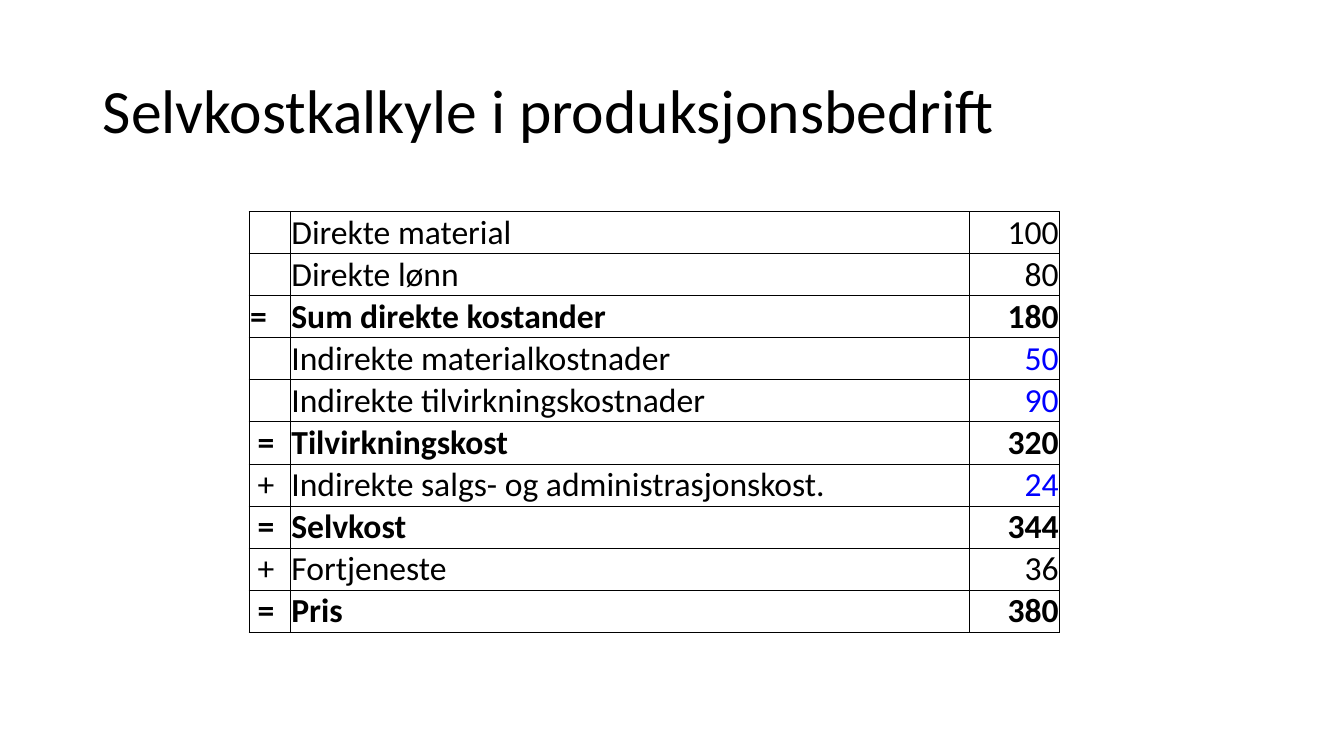
from dataclasses import dataclass

import pptx
import pptx.dml.color
import pptx.enum.text
import pptx.oxml
import pptx.oxml.ns
import pptx.util
from pptx.util import Inches

Align = pptx.enum.text.PP_ALIGN
Anchor = pptx.enum.text.MSO_ANCHOR


# Colours and type sizes
@dataclass(frozen=True)
class Theme:
    font: str = "Calibri"
    ink: str = "000000"
    indirect: str = "0000FF"
    title_size: int = 44
    table_size: int = 24
    border_width: float = 0.5


THEME = Theme()


@dataclass(frozen=True)
class CostLine:
    sign: str
    label: str
    amount: int
    color: str = THEME.ink

    @property
    def is_sum(self) -> bool:
        return "=" in self.sign


COST_LINES = [
    CostLine("", "Direkte material", 100),
    CostLine("", "Direkte lønn", 80),
    CostLine("=", "Sum direkte kostander", 180),
    CostLine("", "Indirekte materialkostnader", 50, THEME.indirect),
    CostLine("", "Indirekte tilvirkningskostnader", 90, THEME.indirect),
    CostLine(" =", "Tilvirkningskost", 320),
    CostLine(" +", "Indirekte salgs- og administrasjonskost.", 24, THEME.indirect),
    CostLine(" =", "Selvkost", 344),
    CostLine(" +", "Fortjeneste", 36),
    CostLine(" =", "Pris", 380),
]
COLUMN_WIDTHS = (0.41, 6.73, 0.9)
ROW_HEIGHT = 0.41


def write_text(tf, text: str, *, size: float, color: str = THEME.ink,
               bold: bool = False, align=Align.LEFT, spacing: float = 1.0) -> None:
    p = tf.paragraphs[0]
    p.alignment = align
    p.line_spacing = spacing
    p.font.size = pptx.util.Pt(size)
    if not text:
        return
    r = p.add_run()
    r.text = text
    r.font.name = THEME.font
    r.font.size = pptx.util.Pt(size)
    r.font.bold = bold
    r.font.color.rgb = pptx.dml.color.RGBColor.from_string(color)


def add_borders(cell) -> None:
    width = pptx.util.Pt(THEME.border_width)
    tc_pr = cell._tc.get_or_add_tcPr()
    for position, side in enumerate(("lnL", "lnR", "lnT", "lnB")):
        tc_pr.insert(position, pptx.oxml.parse_xml(
            f'<a:{side} {pptx.oxml.ns.nsdecls("a")} w="{width}"><a:solidFill>'
            f'<a:srgbClr val="{THEME.ink}"/></a:solidFill></a:{side}>'))


def format_cell(cell) -> None:
    cell.margin_left = cell.margin_right = cell.margin_top = Inches(0.01)
    cell.margin_bottom = 0
    cell.vertical_anchor = Anchor.BOTTOM
    cell.fill.background()
    add_borders(cell)


def add_title(s, text: str) -> None:
    sp = s.shapes.title
    sp.left, sp.top = Inches(0.92), Inches(0.4)
    sp.width, sp.height = Inches(11.5), Inches(1.45)
    tf = sp.text_frame
    tf.auto_size = pptx.enum.text.MSO_AUTO_SIZE.NONE
    tf.vertical_anchor = Anchor.MIDDLE
    write_text(tf, text, size=THEME.title_size, spacing=0.9)


def add_cost_table(s, lines: list[CostLine]) -> None:
    table = s.shapes.add_table(
        len(lines), len(COLUMN_WIDTHS), Inches(2.47), Inches(2.1),
        Inches(sum(COLUMN_WIDTHS)), Inches(ROW_HEIGHT * len(lines))).table
    table.first_row = table.horz_banding = False
    for column, width in zip(table.columns, COLUMN_WIDTHS):
        column.width = Inches(width)
    for row, line in zip(table.rows, lines):
        row.height = Inches(ROW_HEIGHT)
        entries = (
            (line.sign, THEME.ink, Align.LEFT),
            (line.label, THEME.ink, Align.LEFT),
            (str(line.amount), line.color, Align.RIGHT),
        )
        for cell, (text, color, align) in zip(row.cells, entries):
            format_cell(cell)
            write_text(cell.text_frame, text, size=THEME.table_size,
                       color=color, bold=line.is_sum, align=align)


def main() -> None:
    prs = pptx.Presentation()
    prs.slide_width, prs.slide_height = Inches(13.33), Inches(7.5)
    s = prs.slides.add_slide(prs.slide_layouts.get_by_name("Title Only"))
    add_title(s, "Selvkostkalkyle i produksjonsbedrift")
    add_cost_table(s, COST_LINES)
    prs.save("out.pptx")


if __name__ == "__main__":
    main()
